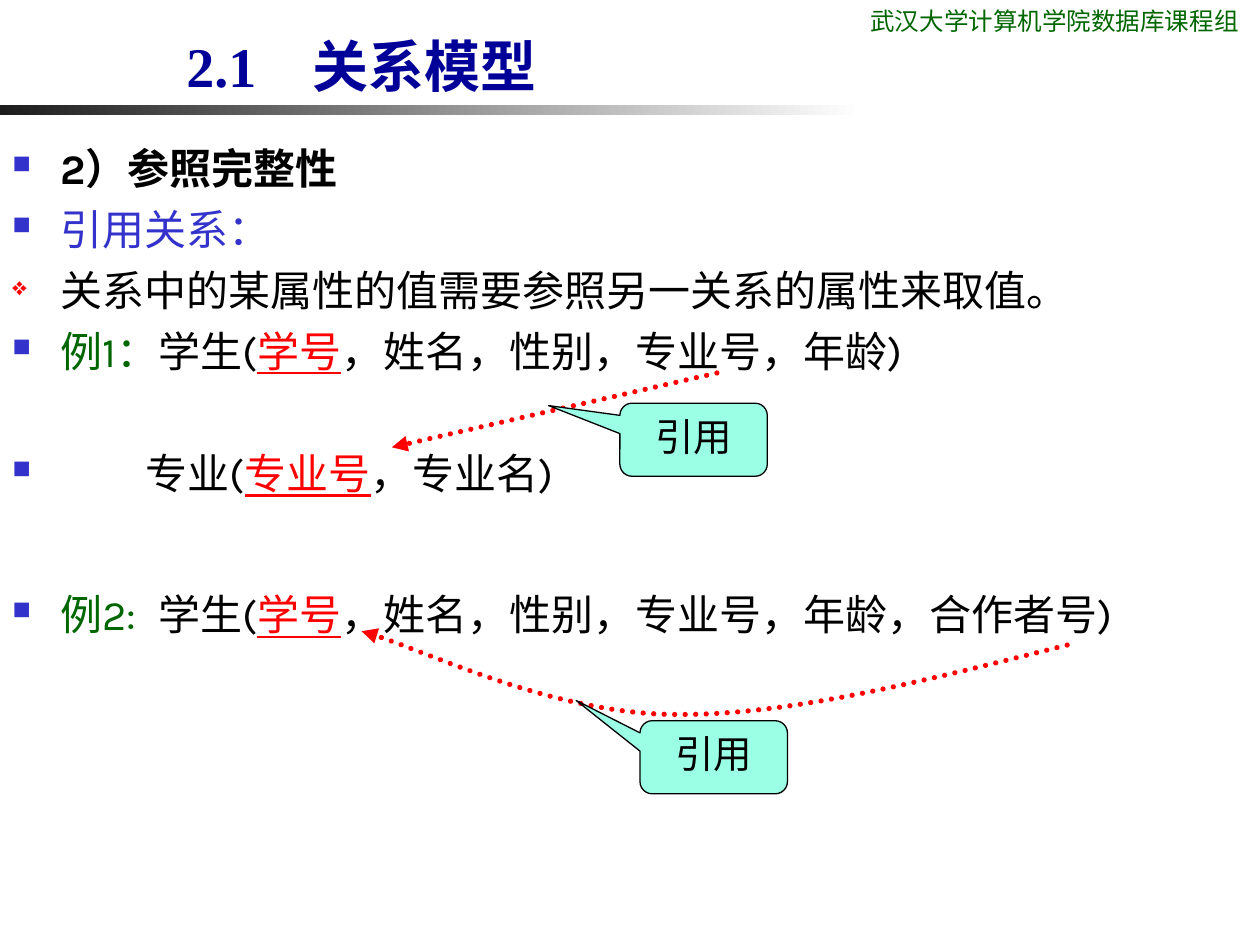
"""Build a slide on referential integrity in the relational model."""
import pptx
import pptx.dml.color
import pptx.enum.dml
import pptx.enum.shapes
import pptx.enum.text
import pptx.oxml
import pptx.oxml.ns
import pptx.util
from pptx.util import Inches

HUES = {"ink": "000000", "blue": "3333CC", "navy": "000099", "green": "006600",
        "red": "FF0000", "mint": "9BFFE5", "dark": "1C1C1C", "white": "FFFFFF"}
FACE = "Karla"


def tint(name):
    return pptx.dml.color.RGBColor.from_string(HUES[name])


def node(root, tag, **attrs):
    item = pptx.oxml.parse_xml(f"<a:{tag} {pptx.oxml.ns.nsdecls('a')}/>")
    for key, value in attrs.items():
        item.set(key, str(value))
    root.append(item)
    return item


def style(font, size, hue, face=FACE, bold=False):
    font.size = pptx.util.Pt(size)
    font.name = face
    font.bold = bold
    font.color.rgb = tint(hue)


def add_box(slide, left, top, width, height):
    box = slide.shapes.add_textbox(Inches(left), Inches(top), Inches(width), Inches(height))
    box.text_frame.word_wrap = True
    return box.text_frame


def add_label(slide, place, text, size, hue, face, bold=False):
    frame = add_box(slide, *place)
    frame.text = text
    style(frame.paragraphs[0].runs[0].font, size, hue, face, bold)
    return frame


def add_title(slide):
    frame = add_label(slide, (1.38, 0, 4.49, 0.83), "2.1\t关系模型", 32, "navy",
                      "Times New Roman", True)
    frame.vertical_anchor = pptx.enum.text.MSO_ANCHOR.BOTTOM
    tabs = node(frame.paragraphs[0]._p.get_or_add_pPr(), "tabLst")
    node(tabs, "tab", pos=Inches(1), algn="l")


def add_bar(slide):
    bar = slide.shapes.add_shape(pptx.enum.shapes.MSO_SHAPE.RECTANGLE,
                                 Inches(0), Inches(0.83), Inches(6.83), Inches(0.08))
    bar.shadow.inherit = False
    bar.line.fill.background()
    bar.fill.gradient()
    bar.fill.gradient_angle = 0
    for stop, hue in zip(bar.fill.gradient_stops, ("dark", "white")):
        stop.color.rgb = tint(hue)


def add_item(para, parts, mark="■", dot="blue", indent=0.38, before=6, bold=False):
    props = para._p.get_or_add_pPr()
    props.set("marL", str(Inches(indent)))
    props.set("indent", str(-Inches(indent)))
    node(node(props, "buClr"), "srgbClr", val=HUES[dot])
    node(props, "buSzPct", val=60000)
    node(props, "buChar", char=mark)
    para.space_before = pptx.util.Pt(before)
    for text, hue in parts:
        run = para.add_run()
        run.text = text
        style(run.font, 24, hue, bold=bold)
        run.font.underline = hue == "red"


def add_list(slide, place, items):
    frame = add_box(slide, *place)
    for rank, (parts, extra) in enumerate(items):
        para = frame.add_paragraph() if rank else frame.paragraphs[0]
        add_item(para, parts, **({} if rank else {"before": 0}) | extra)
    return frame


def add_note(slide, left, top, tip):
    note = slide.shapes.add_shape(pptx.enum.shapes.MSO_SHAPE.ROUNDED_RECTANGULAR_CALLOUT,
                                  Inches(left), Inches(top), Inches(1.17), Inches(0.58))
    for rank, value in enumerate((*tip, 0.167)):
        note.adjustments[rank] = value
    note.shadow.inherit = False
    note.fill.solid()
    note.fill.fore_color.rgb = tint("mint")
    note.line.color.rgb = tint("ink")
    note.line.width = pptx.util.Pt(0.75)
    frame = note.text_frame
    frame.text = "引用"
    frame.vertical_anchor = pptx.enum.text.MSO_ANCHOR.TOP
    para = frame.paragraphs[0]
    para.alignment = pptx.enum.text.PP_ALIGN.CENTER
    style(para.runs[0].font, 22, "ink")


def dot_line(line):
    line.color.rgb = tint("red")
    line.width = pptx.util.Pt(3)
    line.dash_style = pptx.enum.dml.MSO_LINE.ROUND_DOT
    root = line._get_or_add_ln()
    root.set("cap", "rnd")
    node(root, "round")
    node(root, "tailEnd", type="triangle")


def add_arrow(slide, start, end):
    arrow = slide.shapes.add_connector(pptx.enum.shapes.MSO_CONNECTOR.STRAIGHT,
                                       *map(Inches, start + end))
    dot_line(arrow.line)
    node(arrow._element.spPr, "effectLst")


def add_curve(slide, start, points):
    pen = slide.shapes.build_freeform(Inches(start[0]), Inches(start[1]))
    pen.add_line_segments([(Inches(x), Inches(y)) for x, y in points], close=False)
    curve = pen.convert_to_shape()
    curve.shadow.inherit = False
    curve.fill.background()
    dot_line(curve.line)
    trail = curve._element.find(".//" + pptx.oxml.ns.qn("a:path"))
    steps = trail.findall(pptx.oxml.ns.qn("a:lnTo"))
    for first in range(0, len(steps), 3):
        bend = node(trail, "cubicBezTo")
        for step in steps[first:first + 3]:
            bend.append(step[0])
            trail.remove(step)


def main():
    deck = pptx.Presentation()
    deck.slide_width, deck.slide_height = Inches(10), Inches(7.5)
    slide = deck.slides.add_slide(deck.slide_layouts[6])
    add_bar(slide)
    add_label(slide, (6.81, 0, 3.19, 0.34), "武汉大学计算机学院数据库课程组",
              14, "green", "Roboto Condensed")
    add_title(slide)
    add_list(slide, (0, 1.08, 9.1, 3.22), [
        ([("2）参照完整性", "ink")], {"bold": True}),
        ([("引用关系：", "blue")], {}),
        ([("关系中的某属性的值需要参照另一关系的属性来取值。", "ink")],
         {"mark": "❖", "dot": "red"}),
        ([("例1：", "green"), ("学生(", "ink"), ("学号", "red"),
          ("，姓名，性别，专业号，年龄)", "ink")], {}),
        ([("专业(", "ink"), ("专业号", "red"), ("，专业名)", "ink")],
         {"indent": 1.06, "before": 41}),
    ])
    frame = add_list(slide, (0, 4.62, 10, 1.1), [
        ([("例2:", "green"), (" ", "green"), ("学生(", "ink"), ("学号", "red"),
          ("，姓名，性别，专业号，年龄，合作者号)", "ink")], {}),
    ])
    frame.paragraphs[0].runs[1].font._element.set("spc", "700")
    add_arrow(slide, (5.69, 2.96), (3.11, 3.55))
    add_note(slide, 4.92, 3.2, (-0.984, -0.467))
    add_curve(slide, (8.47, 5.12), [(7.35, 5.4), (6.24, 5.69), (5.31, 5.67),
                                    (4.38, 5.65), (3.28, 5.12), (2.87, 5.01)])
    add_note(slide, 5.08, 5.72, (-0.933, -0.777))
    deck.save("out.pptx")


if __name__ == "__main__":
    main()
